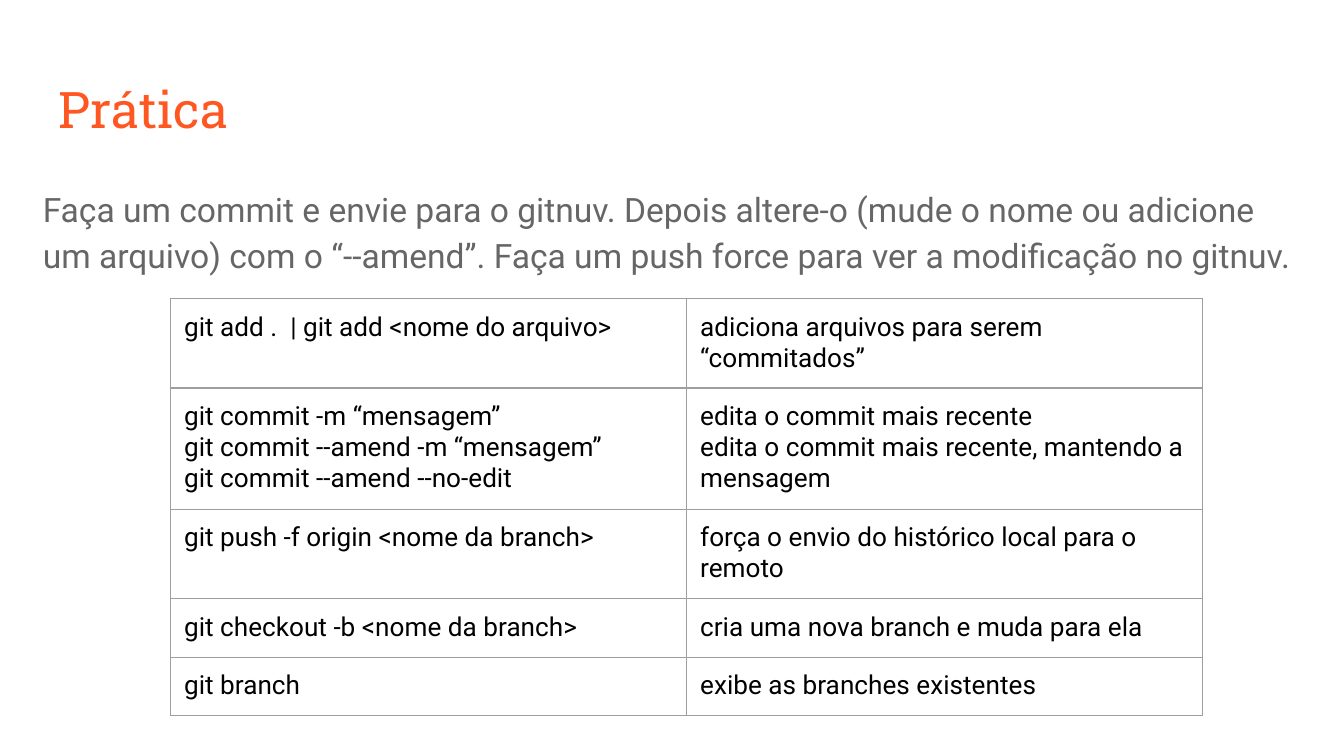
from dataclasses import dataclass

from lxml import etree
from pptx import Presentation, util as u
from pptx.dml.color import RGBColor
from pptx.enum import text
from pptx.oxml.ns import qn


@dataclass(frozen=True)
class Theme:
    title_font: str = "Roboto Slab"
    body_font: str = "Roboto"
    title_size: int = 27
    body_size: int = 18
    table_size: int = 14
    title_color: str = "FF5722"
    body_color: str = "666666"
    table_color: str = "000000"
    border_color: str = "9E9E9E"
    border_width: float = 0.75
    inset: float = 0.1


THEME = Theme()
WIDTH = 10
HEIGHT = WIDTH * 9 / 16
COLUMN_WIDTH = 3.84
ROW_HEIGHTS = (0.39, 0.39, 0.6, 0.39, 0.39)

TITLE = "Prática"
TASK = (
    "Faça um commit e envie para o gitnuv. Depois altere-o (mude o nome ou "
    "adicione um arquivo) com o “--amend”. Faça um push force para ver a "
    "modificação no gitnuv."
)
COMMANDS = (
    (("git add .  | git add <nome do arquivo>",),
     ("adiciona arquivos para serem “commitados”",)),
    (("git commit -m “mensagem”",
      "git commit --amend -m “mensagem”",
      "git commit --amend --no-edit"),
     ("edita o commit mais recente",
      "edita o commit mais recente, mantendo a mensagem")),
    (("git push -f origin <nome da branch>",),
     ("força o envio do histórico local para o remoto",)),
    (("git checkout -b <nome da branch>",),
     ("cria uma nova branch e muda para ela",)),
    (("git branch",), ("exibe as branches existentes",)),
)


def write(frame, lines, *, font, size, color, spacing=1.0, after=0):
    for index, line in enumerate(lines):
        paragraph = frame.paragraphs[0] if index == 0 else frame.add_paragraph()
        paragraph.line_spacing = spacing
        paragraph.space_after = u.Pt(after)
        run = paragraph.add_run()
        run.text = line
        run.font.name = font
        run.font.size = u.Pt(size)
        run.font.color.rgb = RGBColor.from_string(color)


def set_insets(holder):
    for side in ("left", "right", "top", "bottom"):
        setattr(holder, f"margin_{side}", u.Inches(THEME.inset))


def add_text(slide, area, lines, anchor=text.MSO_ANCHOR.TOP, **style):
    frame = slide.shapes.add_textbox(*map(u.Inches, area)).text_frame
    frame.word_wrap = True
    frame.vertical_anchor = anchor
    set_insets(frame)
    write(frame, lines, **style)


def set_borders(cell):
    properties = cell._tc.get_or_add_tcPr()
    for side in ("lnL", "lnR", "lnT", "lnB"):
        line = etree.SubElement(properties, qn(f"a:{side}"),
                                w=str(u.Pt(THEME.border_width)))
        fill = etree.SubElement(line, qn("a:solidFill"))
        etree.SubElement(fill, qn("a:srgbClr"), val=THEME.border_color)


def add_command_table(slide, left, top):
    columns = len(COMMANDS[0])
    table = slide.shapes.add_table(
        len(COMMANDS), columns, u.Inches(left), u.Inches(top),
        u.Inches(columns * COLUMN_WIDTH), u.Inches(sum(ROW_HEIGHTS)),
    ).table
    table.first_row = table.horz_banding = False
    for column in table.columns:
        column.width = u.Inches(COLUMN_WIDTH)
    for row, height, entries in zip(table.rows, ROW_HEIGHTS, COMMANDS):
        row.height = u.Inches(height)
        for cell, lines in zip(row.cells, entries):
            set_insets(cell)
            set_borders(cell)
            cell.fill.background()
            write(cell.text_frame, lines, font=THEME.body_font,
                  size=THEME.table_size, color=THEME.table_color)


def main():
    deck = Presentation()
    deck.slide_width, deck.slide_height = u.Inches(WIDTH), u.Inches(HEIGHT)
    slide = deck.slides.add_slide(deck.slide_layouts[6])
    add_text(slide, (0.34, 0.49, 9.32, 0.63), [TITLE],
             anchor=text.MSO_ANCHOR.MIDDLE, font=THEME.title_font,
             size=THEME.title_size, color=THEME.title_color)
    add_text(slide, (0.22, 1.26, 9.54, 3.74), [TASK], font=THEME.body_font,
             size=THEME.body_size, color=THEME.body_color,
             spacing=1.15, after=12)
    add_command_table(slide, 1.27, 2.22)
    deck.save("out.pptx")


if __name__ == "__main__":
    main()
